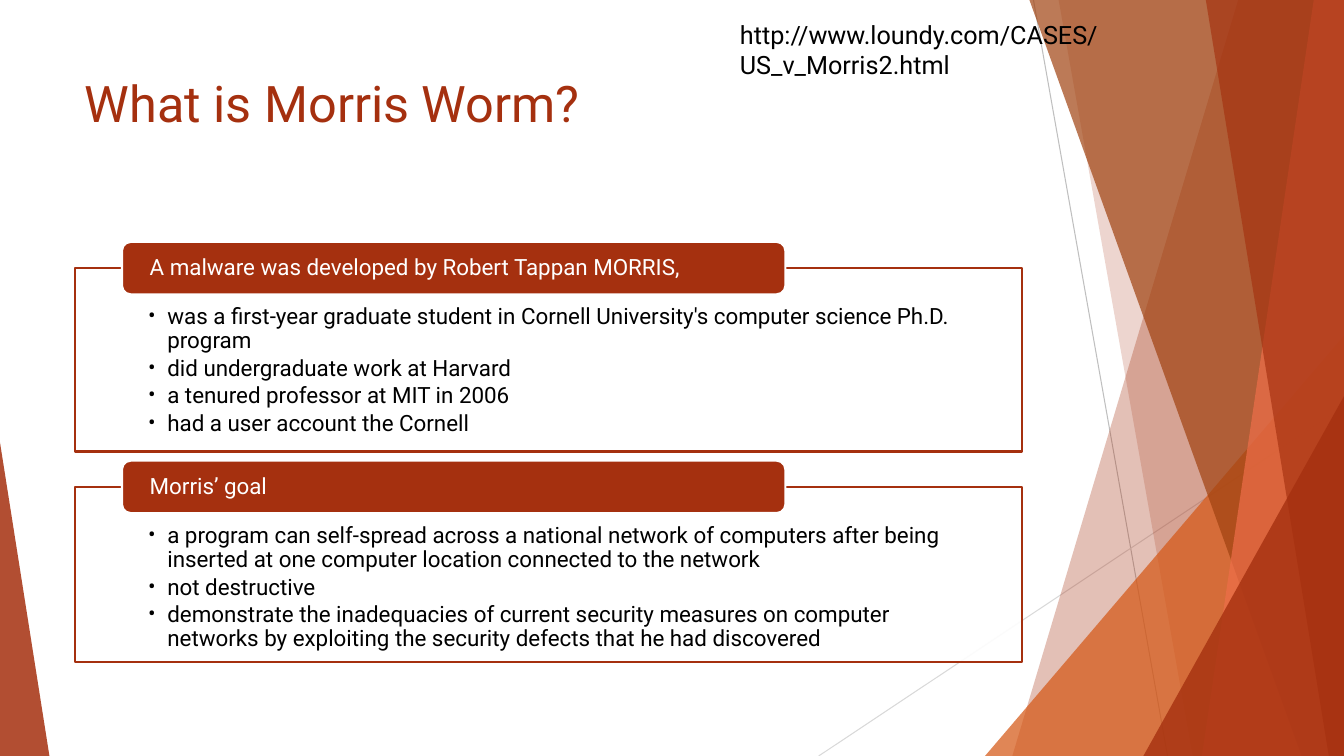
from lxml.etree import SubElement
from pptx import Presentation
from pptx.dml.color import RGBColor
from pptx.enum.shapes import MSO_CONNECTOR, MSO_SHAPE
from pptx.enum.text import MSO_ANCHOR, PP_ALIGN
from pptx.oxml.ns import qn
from pptx.util import Inches, Pt

WIDTH, HEIGHT = 13.33, 7.5
FONT = "Roboto"
RUST = "A5300F"
BLACK = "000000"
WHITE = "FFFFFF"


def paint(color_format, value):
    color_format.rgb = RGBColor.from_string(value)


def fill_shape(shape, color, opacity=100):
    shape.shadow.inherit = False
    shape.fill.solid()
    paint(shape.fill.fore_color, color)
    if opacity < 100:
        swatch = shape.fill._xPr.find(qn("a:solidFill")).find(qn("a:srgbClr"))
        SubElement(swatch, qn("a:alpha"), val=str(opacity * 1000))


def outline(shape, color, width):
    paint(shape.line.color, color)
    shape.line.width = Pt(width)


def write(frame, *lines, size=16, color=BLACK, anchor=MSO_ANCHOR.TOP,
          insets=(0.1, 0.05, 0.1, 0.05), spacing=1.0, after=0, bulleted=False):
    frame.word_wrap = True
    frame.vertical_anchor = anchor
    (frame.margin_left, frame.margin_top,
     frame.margin_right, frame.margin_bottom) = map(Inches, insets)
    for position, line in enumerate(lines):
        paragraph = frame.add_paragraph() if position else frame.paragraphs[0]
        paragraph.alignment = PP_ALIGN.LEFT
        paragraph.line_spacing = spacing
        paragraph.space_after = Pt(after)
        run = paragraph.add_run()
        run.text = line
        run.font.name = FONT
        run.font.size = Pt(size)
        paint(run.font.color, color)
        if bulleted:
            properties = paragraph._p.get_or_add_pPr()
            properties.set("marL", str(Inches(0.19)))
            properties.set("indent", str(-Inches(0.19)))
            SubElement(properties, qn("a:buFont"), typeface=FONT)
            SubElement(properties, qn("a:buChar"), char="•")


def add_ray(slide, start, end, color):
    ray = slide.shapes.add_connector(
        MSO_CONNECTOR.STRAIGHT, *map(Inches, (*start, *end)))
    outline(ray, color, 0.75)
    SubElement(ray._element.spPr, qn("a:effectLst"))


def add_facet(slide, top_x, bottom_x, color, opacity):
    corners = [(WIDTH, 0), (WIDTH, HEIGHT), (bottom_x, HEIGHT)]
    builder = slide.shapes.build_freeform(Inches(top_x), 0, scale=1.0)
    builder.add_line_segments([(Inches(x), Inches(y)) for x, y in corners])
    facet = builder.convert_to_shape()
    fill_shape(facet, color, opacity)
    facet.line.fill.background()


def add_corner(slide, left, width, height, apex, color, opacity):
    corner = slide.shapes.add_shape(
        MSO_SHAPE.ISOSCELES_TRIANGLE,
        *map(Inches, (left, HEIGHT - height, width, height)))
    corner.adjustments[0] = apex
    fill_shape(corner, color, opacity)
    corner.line.fill.background()


def add_backdrop(slide):
    add_ray(slide, (10.25, 0), (11.58, HEIGHT), "BFBFBF")
    add_ray(slide, (WIDTH, 4.03), (8.12, HEIGHT), "D9D9D9")
    add_facet(slide, 12.28, 10.04, RUST, 30)
    add_facet(slide, 10.5, 11.83, RUST, 20)
    add_corner(slide, 9.77, 3.56, 4.17, 1, "D55816", 72)
    add_facet(slide, 10.21, 12.91, "A04210", 70)
    add_facet(slide, 13.03, 11.92, "EE6E4A", 70)
    add_facet(slide, 11.96, 13.18, RUST, 65)
    add_corner(slide, 11.34, 1.99, 3.57, 1, RUST, 80)
    add_corner(slide, 0, 0.49, 3.11, 0, RUST, 85)


def add_title(slide, left, top, width, height):
    title = slide.shapes.title
    title.left, title.top, title.width, title.height = map(
        Inches, (left, top, width, height))
    write(title.text_frame, "What is Morris Worm?", size=36, color=RUST)


def add_topic(slide, left, top, width, height, heading, points):
    panel = slide.shapes.add_shape(
        MSO_SHAPE.RECTANGLE, *map(Inches, (left, top, width, height)))
    fill_shape(panel, WHITE, 90)
    outline(panel, RUST, 1.5)
    write(panel.text_frame, *points, insets=(0.73, 0.37, 0.65, 0.12),
          spacing=0.9, after=2.4, bulleted=True)

    tab = slide.shapes.add_shape(
        MSO_SHAPE.ROUNDED_RECTANGLE,
        *map(Inches, (left + 0.47, top - 0.26, width * 0.7, 0.52)))
    fill_shape(tab, RUST)
    outline(tab, WHITE, 1.5)
    write(tab.text_frame, heading, color=WHITE, anchor=MSO_ANCHOR.MIDDLE,
          insets=(0.25, 0, 0.25, 0), spacing=0.9)


def add_source(slide, left, top, width, height):
    source = slide.shapes.add_textbox(*map(Inches, (left, top, width, height)))
    write(source.text_frame,
          "http://www.loundy.com/CASES/US_v_Morris2.html", size=18)


def main():
    deck = Presentation()
    deck.slide_width, deck.slide_height = Inches(WIDTH), Inches(HEIGHT)
    slide = deck.slides.add_slide(deck.slide_layouts[5])
    add_backdrop(slide)
    add_title(slide, 0.74, 0.67, 9.4, 1.44)
    add_topic(slide, 0.74, 2.66, 9.4, 1.82,
              "A malware was developed by Robert Tappan MORRIS,", [
                  "was a first-year graduate student in Cornell University's "
                  "computer science Ph.D. program",
                  "did undergraduate work at Harvard",
                  "a tenured professor at MIT in 2006",
                  "had a user account the Cornell",
              ])
    add_topic(slide, 0.74, 4.83, 9.4, 1.74, "Morris’ goal", [
        "a program can self-spread across a national network of computers "
        "after being inserted at one computer location connected to the network",
        "not destructive",
        "demonstrate the inadequacies of current security measures on computer "
        "networks by exploiting the security defects that he had discovered",
    ])
    add_source(slide, 7.24, 0.14, 5.52, 0.4)
    deck.save("out.pptx")


if __name__ == "__main__":
    main()
